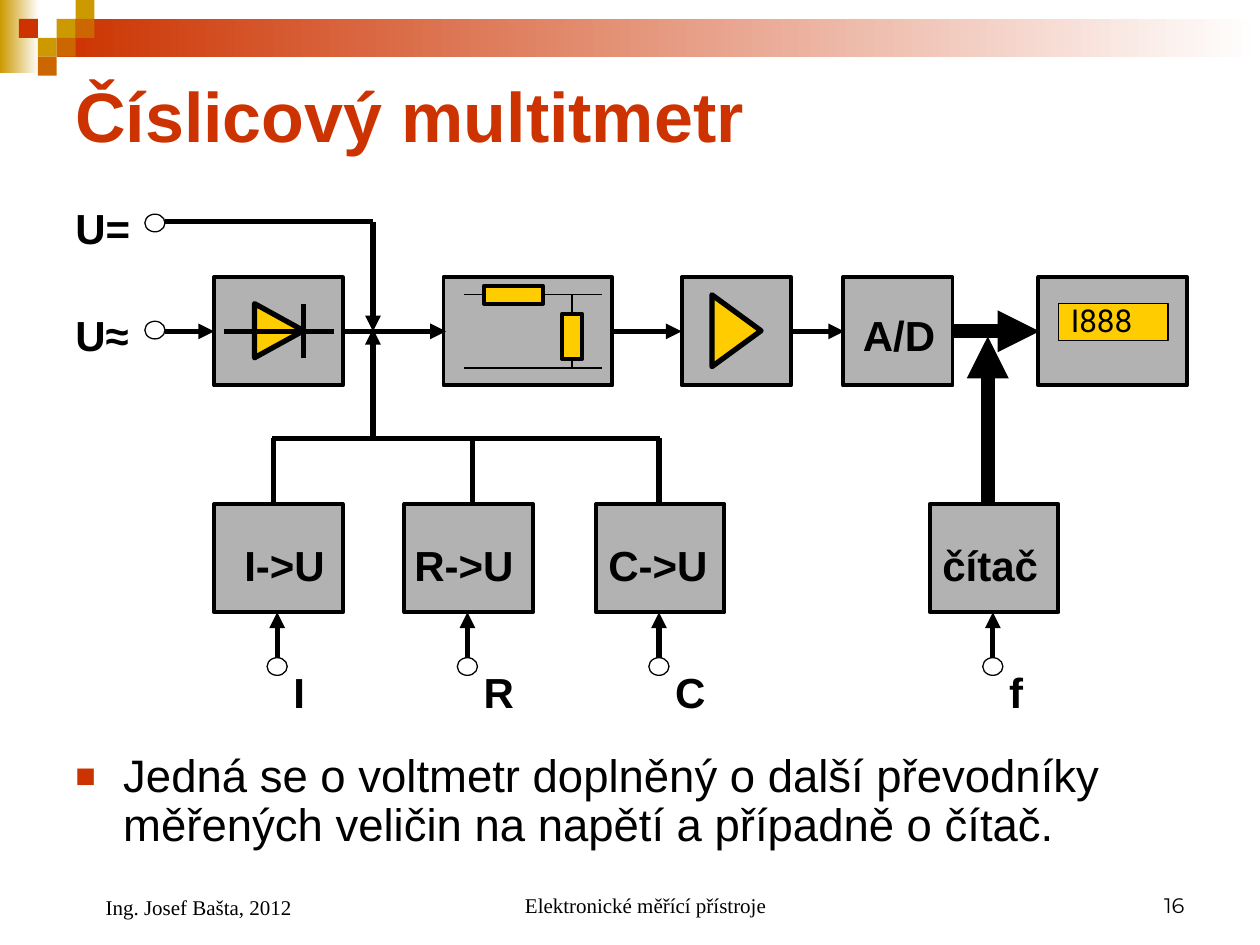
import pptx
import pptx.dml.color
import pptx.enum.shapes
import pptx.enum.text
import pptx.oxml
import pptx.oxml.ns
import pptx.util
from pptx.util import Inches

SHAPE = pptx.enum.shapes.MSO_SHAPE
ALIGN = pptx.enum.text.PP_ALIGN
ANCHOR = pptx.enum.text.MSO_ANCHOR
BLACK, WHITE, RED, GOLD, ORANGE = "000000", "FFFFFF", "CC3300", "CC9900", "CC6600"
GREY, YELLOW = "B2B2B2", "FFCC00"
BLOCK_HEIGHT = 0.86
SIGNAL_Y = 2.63
LABEL_FONT = {"size": pptx.util.Pt(24), "bold": True}


def rgb(value):
    return pptx.dml.color.RGBColor.from_string(value)


def add_xml(parent, tag, **attributes):
    child = pptx.oxml.parse_xml(
        f'<a:{tag} xmlns:a="http://schemas.openxmlformats.org/drawingml/2006/main"/>')
    for key, value in attributes.items():
        child.set(key, str(value))
    parent.append(child)
    return child


def add_form(slide, box, fill, line_width=None, kind=SHAPE.RECTANGLE, rotation=0):
    """Add a preset shape; a pair of colours as fill makes a left-to-right gradient."""
    form = slide.shapes.add_shape(kind, *map(Inches, box))
    form.shadow.inherit = False
    form.rotation = rotation
    if isinstance(fill, tuple):
        form.fill.gradient()
        form.fill.gradient_angle = 0
        for stop, color in zip(form.fill.gradient_stops, fill):
            stop.color.rgb = rgb(color)
    else:
        form.fill.solid()
        form.fill.fore_color.rgb = rgb(fill)
    if line_width:
        form.line.color.rgb = rgb(BLACK)
        form.line.width = pptx.util.Pt(line_width)
    else:
        form.line.fill.background()


def add_wire(slide, start, end, width=3, arrow=False):
    wire = slide.shapes.add_connector(
        pptx.enum.shapes.MSO_CONNECTOR.STRAIGHT, *map(Inches, (*start, *end)))
    wire.line.color.rgb = rgb(BLACK)
    wire.line.width = pptx.util.Pt(width)
    if arrow:
        add_xml(wire.line._get_or_add_ln(), "tailEnd", type="triangle")
    add_xml(wire._element.spPr, "effectLst")


def add_text(slide, box, text, font, color=BLACK, anchor=ANCHOR.TOP, bullet=None, **layout):
    frame = slide.shapes.add_textbox(*map(Inches, box)).text_frame
    frame.word_wrap = True
    frame.vertical_anchor = anchor
    paragraph = frame.paragraphs[0]
    paragraph.text = text
    for name, value in layout.items():
        setattr(paragraph, name, value)
    if bullet:
        properties = paragraph._p.get_or_add_pPr()
        properties.set("marL", str(Inches(0.38)))
        properties.set("indent", str(-Inches(0.38)))
        add_xml(add_xml(properties, "buClr"), "srgbClr", val=RED)
        add_xml(properties, "buSzPct", val=75000)
        add_xml(properties, "buFont", typeface="Arial")
        add_xml(properties, "buChar", char=bullet)
    run_font = paragraph.runs[0].font
    for name, value in {"name": "Arial", **font}.items():
        setattr(run_font, name, value)
    run_font.color.rgb = rgb(color)


def add_block(slide, left, top, width):
    add_form(slide, (left, top, width, BLOCK_HEIGHT), GREY, 2.25)


def add_terminal(slide, left, top):
    add_form(slide, (left, top, 0.16, 0.14), WHITE, 0.75, SHAPE.OVAL)


def add_header_band(slide, left, top):
    add_form(slide, (left, top, 0.31, 0.58), (GOLD, WHITE))
    add_form(slide, (left + 0.45, top + 0.15, 9.55, 0.3), (RED, WHITE))
    tile = 0.15
    for column, row, color in [(3, 1, GOLD), (4, 0, GOLD), (4, 1, ORANGE), (2, 2, GOLD),
                               (1, 1, RED), (3, 2, ORANGE), (2, 3, ORANGE)]:
        add_form(slide, (left + column * tile, top + row * tile, tile, tile), color)


def add_input(slide, left, top, label):
    add_text(slide, (left, top, 0.82, 0.5), label, LABEL_FONT)
    add_terminal(slide, left + 0.65, top + 0.14)


def add_rectifier(slide, left, top):
    middle = top + 0.43
    add_block(slide, left, top, 1.02)
    add_form(slide, (left + 0.3, top + 0.23, 0.43, 0.39), YELLOW, 3,
             SHAPE.ISOSCELES_TRIANGLE, 90)
    add_wire(slide, (left + 0.71, middle - 0.22), (left + 0.71, middle + 0.21))
    add_wire(slide, (left + 0.08, middle), (left + 0.95, middle))


def add_divider(slide, left, top):
    """Voltage divider: a series resistor and a shunt resistor."""
    add_block(slide, left, top, 1.34)
    for start, end in [((0.16, 0.14), (1.26, 0.14)), ((0.16, 0.72), (1.26, 0.72)),
                       ((1.02, 0.14), (1.02, 0.72))]:
        add_wire(slide, (left + start[0], top + start[1]), (left + end[0], top + end[1]), 0.75)
    add_form(slide, (left + 0.32, top + 0.07, 0.47, 0.14), YELLOW, 2.25)
    add_form(slide, (left + 0.84, top + 0.39, 0.36, 0.16), YELLOW, 2.25, rotation=90)


def add_amplifier(slide, left, top):
    add_block(slide, left, top, 0.87)
    add_form(slide, (left + 0.15, top + 0.23, 0.57, 0.39), YELLOW, 3,
             SHAPE.ISOSCELES_TRIANGLE, 90)


def add_digitizer(slide, left, top):
    add_block(slide, left, top, 0.87)
    add_text(slide, (left + 0.06, top + 0.21, 0.95, 0.5), "A/D", LABEL_FONT)


def add_display(slide, left, top):
    add_block(slide, left, top, 1.18)
    add_form(slide, (left + 0.16, top + 0.21, 0.87, 0.29), YELLOW, 0.75)
    add_text(slide, (left + 0.16, top + 0.14, 0.94, 0.4), "I888",
             {"name": "Roboto", "size": pptx.util.Pt(18)})


def add_converter(slide, left, top, label, quantity, label_shift):
    add_block(slide, left, top, 1.02)
    add_text(slide, (left + label_shift, top + 0.23, 1.05, 0.5), label, LABEL_FONT)
    add_terminal(slide, left + 0.42, top + 1.22)
    add_wire(slide, (left + 0.5, top + 1.22), (left + 0.5, top + BLOCK_HEIGHT), arrow=True)
    add_text(slide, (left + 0.53, top + 1.24, 0.52, 0.5), quantity, LABEL_FONT)


def add_measuring_chain(slide, top):
    add_wire(slide, (7.52, SIGNAL_Y), (8.25, SIGNAL_Y), 8, arrow=True)
    for part, left in [(add_rectifier, 1.7), (add_divider, 3.52), (add_amplifier, 5.41),
                       (add_digitizer, 6.69), (add_display, 8.24)]:
        part(slide, left, top)
    for start, end in [(1.31, 1.7), (2.73, 3.54), (4.86, 5.41), (6.27, 6.7)]:
        add_wire(slide, (start, SIGNAL_Y), (end, SIGNAL_Y), arrow=True)


def add_converter_bus(slide, top):
    """Wires that join the converters and lead up to the measuring chain."""
    add_wire(slide, (2.16, top), (5.24, top))
    for x in (2.17, 3.75, 5.23):
        add_wire(slide, (x, top + 0.51), (x, top))
    add_wire(slide, (2.96, top), (2.96, 2.61), arrow=True)


def add_footer(slide, top):
    serif = {"name": "Times New Roman", "size": pptx.util.Pt(12)}
    number = {"name": "Montserrat", "size": pptx.util.Pt(12)}
    for left, width, height, text, font, alignment in [
            (0.74, 2.09, 0.52, "Ing. Josef Bašta, 2012", serif, ALIGN.LEFT),
            (3.66, 2.93, 0.5, "Elektronické měřící přístroje", serif, ALIGN.CENTER),
            (7.17, 2.33, 0.5, "16", number, ALIGN.RIGHT)]:
        add_text(slide, (left, top, width, height), text, font,
                 anchor=ANCHOR.BOTTOM, alignment=alignment)


def main():
    presentation = pptx.Presentation()
    presentation.slide_width, presentation.slide_height = Inches(10), Inches(7.5)
    slide = presentation.slides.add_slide(presentation.slide_layouts[6])
    add_header_band(slide, 0, 0)
    add_text(slide, (0.5, 0.5, 9, 0.82), "Číslicový multitmetr",
             {"size": pptx.util.Pt(40), "bold": True}, RED, ANCHOR.MIDDLE)
    add_text(slide, (0.5, 5.93, 9, 0.97),
             "Jedná se o voltmetr doplněný o další převodníky měřených veličin "
             "na napětí a případně o čítač.",
             {"size": pptx.util.Pt(26)}, bullet="■", line_spacing=0.9)
    add_input(slide, 0.5, 1.56, "U=")
    add_input(slide, 0.5, 2.41, "U≈")
    add_measuring_chain(slide, 2.2)
    add_wire(slide, (1.31, 1.76), (2.96, 1.76))
    add_wire(slide, (2.96, 1.76), (2.96, SIGNAL_Y), arrow=True)
    for left, label, quantity, label_shift in [
            (1.7, "I->U", "I", 0.14), (3.21, "R->U", "R", -0.02),
            (4.73, "C->U", "C", 0), (7.38, "čítač", "f", 0)]:
        add_converter(slide, left, 4, label, quantity, label_shift)
    add_wire(slide, (7.84, 4), (7.84, 2.67), 8, arrow=True)
    add_converter_bus(slide, 3.48)
    add_footer(slide, 6.83)
    presentation.save("out.pptx")


if __name__ == "__main__":
    main()
